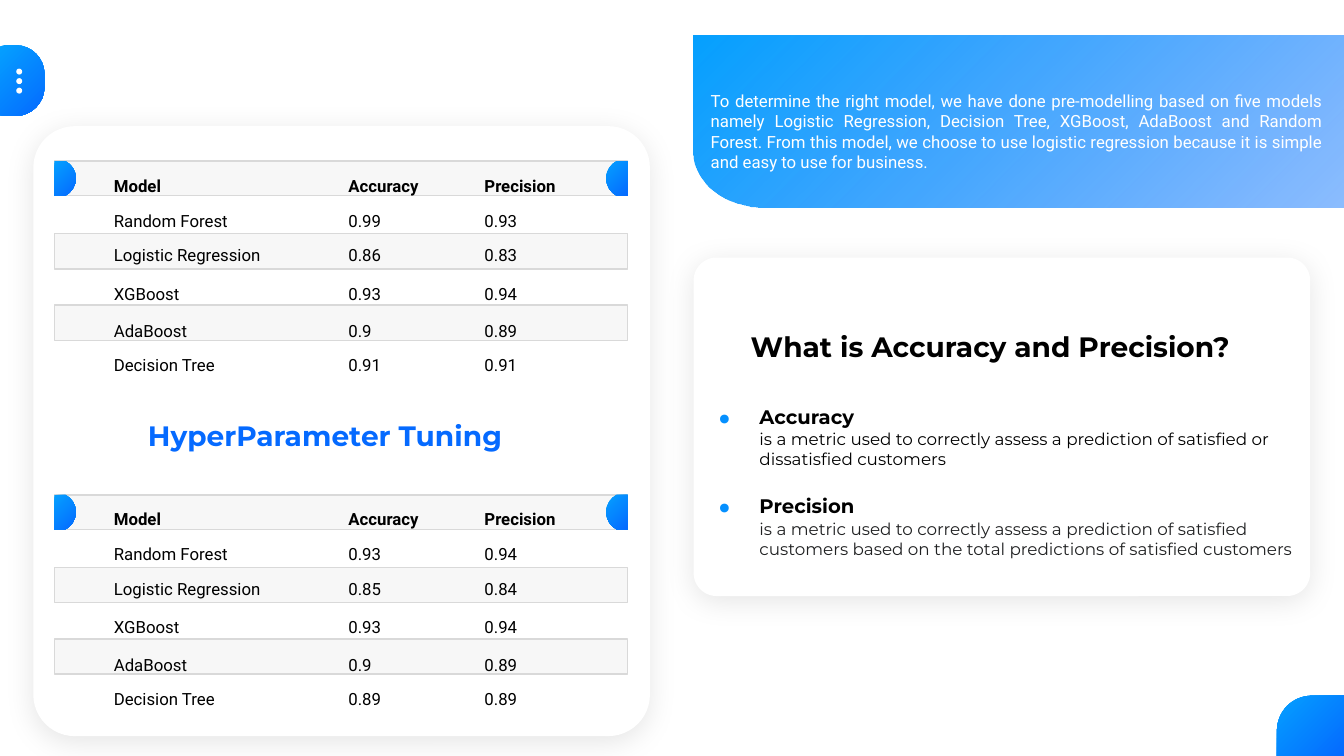
from lxml import etree
from pptx import Presentation
from pptx import util as u
from pptx.dml.color import RGBColor
from pptx.enum import shapes, text
from pptx.oxml.ns import qn

Cm, Pt = u.Cm, u.Pt
BLUE, SKY, GREY, BLACK = "056AFF", "05A0FF", "D9D9D9", "000000"

HEADERS = ("Model", "Accuracy", "Precision")
MODELS = ["Random Forest", "Logistic Regression", "XGBoost", "AdaBoost", "Decision Tree"]
FIRST_SCORES = [("0.99", "0.93"), ("0.86", "0.83"), ("0.93", "0.94"),
                ("0.9", "0.89"), ("0.91", "0.91")]
TUNED_SCORES = [("0.93", "0.94"), ("0.85", "0.84"), ("0.93", "0.94"),
                ("0.9", "0.89"), ("0.89", "0.89")]
COLUMNS = [(2.62, 4.37, 0.74), (8.53, 3.33, 0.94), (11.96, 3.33, 0.94)]  # left, width, height
ROW_OFFSETS = [0, 0.88, 1.76, 2.72, 3.66, 4.52]
BANDS = [(1.83, 0.89), (3.63, 0.89), (0, 0.87)]  # offset, height
BAND_LEFT, BAND_WIDTH = 1.37, 14.45

INTRO = ("To determine the right model, we have done pre-modelling based on five models "
         "namely Logistic Regression, Decision Tree, XGBoost, AdaBoost and Random Forest. "
         "From this model, we choose to use logistic regression because it is simple and "
         "easy to use for business.")
ACCURACY = ("is a metric used to correctly assess a prediction of satisfied or "
            "dissatisfied customers")
PRECISION = ("is a metric used to correctly assess a prediction of satisfied customers "
             "based on the total predictions of satisfied customers")


def colour(value):
    return RGBColor.from_string(value)


def add_element(parent, tag, **attributes):
    return etree.SubElement(parent, qn(tag), {k: str(v) for k, v in attributes.items()})


def set_alpha(colour_element, percent):
    add_element(colour_element, "a:alpha", val=percent * 1000)


def add_plain_shape(page, kind, left, top, width, height, fill="FFFFFF"):
    shape = page.shapes.add_shape(kind, Cm(left), Cm(top), Cm(width), Cm(height))
    shape.shadow.inherit = False
    shape.fill.solid()
    shape.fill.fore_color.rgb = colour(fill)
    shape.line.fill.background()
    return shape


def add_card(page, left, top, width, height):
    card = add_plain_shape(page, shapes.MSO_SHAPE.ROUNDED_RECTANGLE, left, top, width, height)
    card.adjustments[0] = 0.068
    effects = card._element.spPr.find(qn("a:effectLst"))
    shadow = add_element(effects, "a:outerShdw", blurRad=Pt(21), dist=Pt(4),
                         dir=90 * 60000, algn="t", rotWithShape=0)
    set_alpha(add_element(shadow, "a:srgbClr", val=BLACK), 10)


def add_outline(page, start, segments):
    """Closed outline; a pair is a straight segment, six numbers are a cubic curve."""
    corners = [(Cm(s[i]), Cm(s[i + 1])) for s in segments for i in range(0, len(s), 2)]
    builder = page.shapes.build_freeform(Cm(start[0]), Cm(start[1]))
    builder.add_line_segments(corners, close=True)
    shape = builder.convert_to_shape()
    steps = iter(list(shape._element.iter(qn("a:lnTo"))))
    for segment in segments:
        step = next(steps)
        if len(segment) == 6:
            step.addprevious(curve := etree.Element(qn("a:cubicBezTo")))
            for handle in (step, next(steps), next(steps)):
                curve.append(handle[0])
                handle.getparent().remove(handle)
    return shape


def add_gradient_outline(page, start, *segments, centre_alpha=100):
    shape = add_outline(page, start, segments)
    shape.shadow.inherit = False
    shape.line.fill.background()
    shape.fill.gradient()
    for stop, position, value in zip(shape.fill.gradient_stops, (0, 1), (BLUE, SKY)):
        stop.position = position
        stop.color.rgb = colour(value)
    gradient = shape._element.spPr.find(qn("a:gradFill"))
    if centre_alpha < 100:
        set_alpha(next(gradient.iter(qn("a:srgbClr"))), centre_alpha)
    gradient.remove(gradient.find(qn("a:lin")))
    radial = add_element(gradient, "a:path", path="circle")
    add_element(radial, "a:fillToRect", l=100000, t=100000)


def set_font(paragraph, name, size, value, bold=False):
    font = paragraph.font
    font.name, font.size, font.bold = name, Pt(size), bold
    font.color.rgb = colour(value)


def add_label(page, place, words, font, align=text.PP_ALIGN.LEFT, spacing=1.0):
    frame = page.shapes.add_textbox(*(Cm(length) for length in place)).text_frame
    frame.word_wrap = True
    para = frame.paragraphs[0]
    para.text = words
    para.alignment = align
    para.line_spacing = spacing
    set_font(para, *font)
    return frame


def add_definition(page, place, dot_top, term, meaning, value, gap=0):
    frame = add_label(page, place, term, ("Montserrat", 14, BLACK, True))
    body = frame.add_paragraph()
    body.text = meaning
    body.space_before = Pt(gap)
    set_font(body, "Montserrat", 12, value)
    add_label(page, (17.86, dot_top, 0.76, 1.63), ".", ("Montserrat", 32, "0590FF", True))


def add_header_cap(page, edge, top, direction):
    """Half-round cap that points inwards from one end of a table header."""
    flat, bend, tip = (edge + direction * reach for reach in (0.28, 0.43, 0.54))
    middle, bottom = top + 0.43, top + 0.87
    add_gradient_outline(page, (edge, top), (flat, top),
                         (bend, top + 0.08, tip, top + 0.23, tip, middle),
                         (tip, bottom - 0.23, bend, bottom - 0.08, flat, bottom),
                         (edge, bottom))


def add_score_panel(page, top, scores):
    for offset, height in BANDS:
        band = add_plain_shape(page, shapes.MSO_SHAPE.RECTANGLE, BAND_LEFT, top + offset,
                               BAND_WIDTH, height, GREY)
        set_alpha(next(band._element.spPr.iter(qn("a:srgbClr"))), 20)
        band.line.color.rgb = colour(GREY)
        band.line.width = Pt(1)
    add_header_cap(page, BAND_LEFT + BAND_WIDTH, top, -1)
    add_header_cap(page, BAND_LEFT, top, 1)
    rows = [HEADERS] + [(model, *pair) for model, pair in zip(MODELS, scores)]
    for (left, width, height), words in zip(COLUMNS, zip(*rows)):
        for offset, word in zip(ROW_OFFSETS, words):
            add_label(page, (left, top - 0.02 + offset, width, height), word,
                      ("Roboto", 12, BLACK, word in HEADERS), spacing=1.5)


def add_menu_tab(page):
    add_gradient_outline(page, (0.1, 1.14), (0.41, 1.14), (0.79, 1.14, 1.12, 1.47, 1.12, 1.85),
                         (1.12, 2.21), (1.12, 2.59, 0.79, 2.92, 0.41, 2.92),
                         (0.1, 2.92), (0, 2.9), (0, 1.17))
    for index in range(3):
        add_plain_shape(page, shapes.MSO_SHAPE.OVAL, 0.41, 1.73 + 0.24 * index, 0.15, 0.15)


def main():
    deck = Presentation()
    deck.slide_width, deck.slide_height = Cm(33.87), Cm(19.05)
    page = deck.slides.add_slide(deck.slide_layouts[6])
    add_card(page, 0.84, 3.18, 15.54, 15.37)
    add_card(page, 17.48, 6.49, 15.54, 8.53)
    add_gradient_outline(page, (17.48, 0.9), (36.55, 0.9), (36.55, 5.23), (19.3, 5.23),
                         (18.29, 5.23, 17.48, 4.6, 17.48, 3.84), centre_alpha=39)
    add_menu_tab(page)
    add_gradient_outline(page, (33.07, 17.53), (33.87, 17.53), (33.87, 19.05), (32.18, 19.05),
                         (32.18, 18.42), (32.18, 17.93, 32.56, 17.53, 33.07, 17.53))
    add_label(page, (3.48, 10.41, 10.24, 1.12), "HyperParameter Tuning",
              ("Montserrat", 20, BLUE, True))
    add_label(page, (17.66, 2.17, 15.93, 2.31), INTRO, ("Roboto", 12, "FFFFFF"),
              text.PP_ALIGN.JUSTIFY)
    add_score_panel(page, 4.06, FIRST_SCORES)
    add_score_panel(page, 12.47, TUNED_SCORES)
    add_label(page, (18.62, 8.18, 12.67, 1.12), "What is Accuracy and Precision?",
              ("Montserrat", 20, BLACK, True), text.PP_ALIGN.CENTER)
    add_definition(page, (18.89, 10.08, 13.77, 1.88), 9.42, "Accuracy", ACCURACY, BLACK)
    add_definition(page, (18.89, 12.31, 14.12, 1.92), 11.66, "Precision", PRECISION,
                   "202122", gap=1)
    deck.save("out.pptx")


if __name__ == "__main__":
    main()
